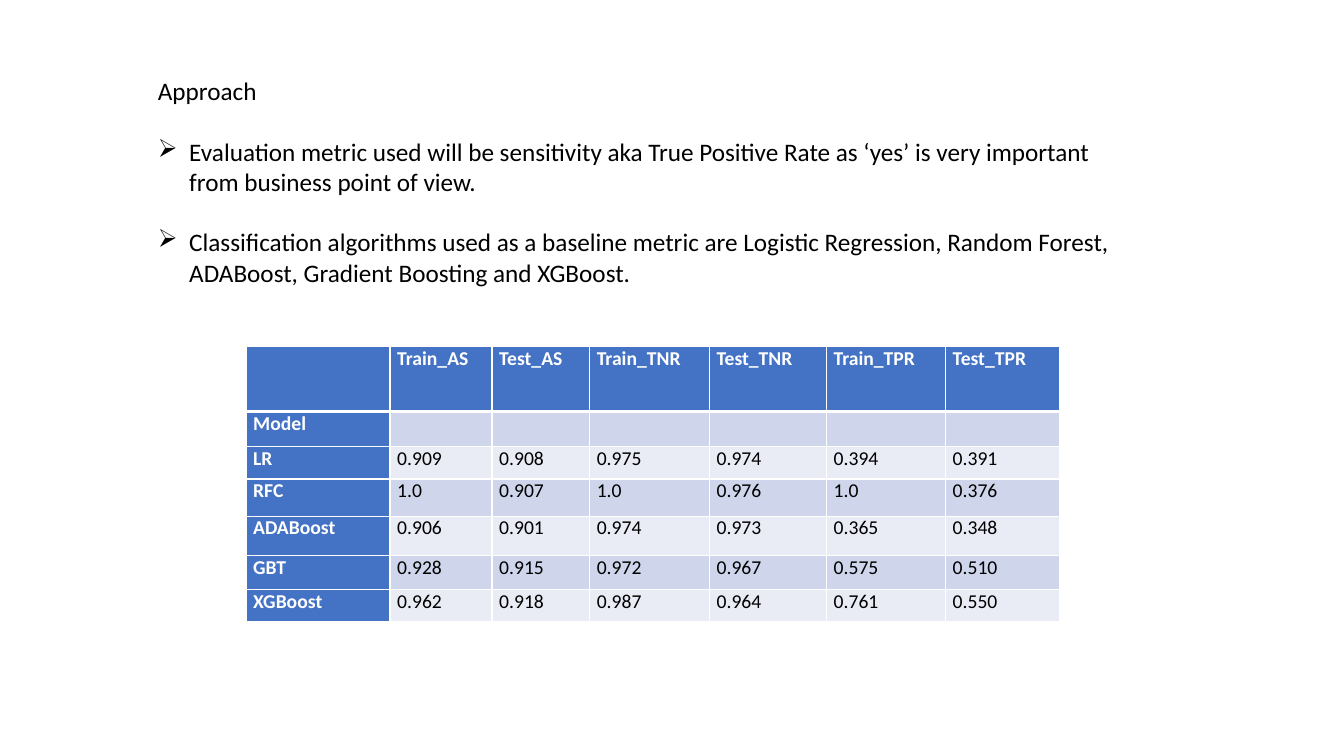
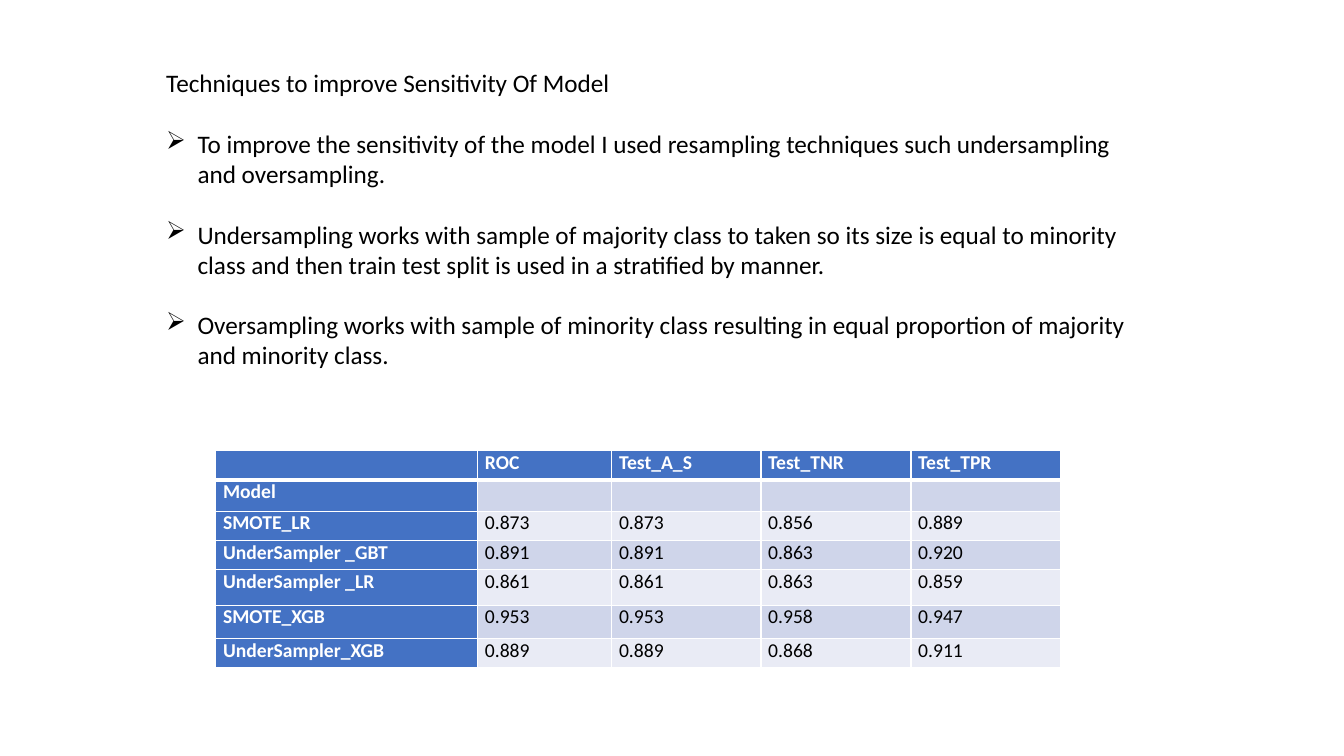
import lxml.etree
import pptx
import pptx.dml.color
import pptx.enum.text
import pptx.oxml.ns
import pptx.util

Cm = pptx.util.Cm
Pt = pptx.util.Pt
RGBColor = pptx.dml.color.RGBColor

BLACK = RGBColor(0x00, 0x00, 0x00)
WHITE = RGBColor(0xFF, 0xFF, 0xFF)
BLUE = RGBColor(0x44, 0x72, 0xC4)
BAND_DARK = RGBColor(0xCF, 0xD5, 0xEA)
BAND_LIGHT = RGBColor(0xE9, 0xEB, 0xF5)

FONT = "Calibri"
BODY_FORMAT = {"name": FONT, "size": Pt(18), "bold": False}
HEADER_FORMAT = {"name": FONT, "size": Pt(14), "bold": True}
VALUE_FORMAT = {"name": FONT, "size": Pt(14), "bold": False}
CELL_FORMAT = {
    "margin_left": Cm(0.18),
    "margin_right": Cm(0.18),
    "margin_top": 0,
    "margin_bottom": 0,
}
BULLET = "➢"
BULLET_INDENT = Cm(0.79)
PARAGRAPH_GAP = Pt(21.6)
THIN, THICK = Pt(1), Pt(3)


def set_attributes(target, values):
    for name, value in values.items():
        setattr(target, name, value)


def add_element(parent, tag, **attributes):
    element = lxml.etree.SubElement(parent, pptx.oxml.ns.qn(tag))
    for name, value in attributes.items():
        element.set(name, str(value))
    return element


class Deck:
    """Holds the presentation, its style and the slide being built."""

    def __init__(self):
        self.presentation = pptx.Presentation()
        self.presentation.slide_width = Cm(33.87)
        self.presentation.slide_height = Cm(19.05)
        self.slide = None

    def add_slide(self):
        blank_layout = self.presentation.slide_layouts[6]
        self.slide = self.presentation.slides.add_slide(blank_layout)

    def add_run(self, paragraph, text, values, color):
        run = paragraph.add_run()
        run.text = text
        set_attributes(run.font, values)
        run.font.color.rgb = color

    def add_text(self, left, top, width, height, heading, points):
        """Add a heading line followed by spaced bullet points."""
        box = self.slide.shapes.add_textbox(Cm(left), Cm(top), Cm(width), Cm(height))
        frame = box.text_frame
        frame.word_wrap = True
        self.add_run(frame.paragraphs[0], heading, BODY_FORMAT, BLACK)
        for point in points:
            paragraph = frame.add_paragraph()
            paragraph.space_before = PARAGRAPH_GAP
            properties = paragraph._p.get_or_add_pPr()
            properties.set("marL", str(BULLET_INDENT))
            properties.set("indent", str(-BULLET_INDENT))
            add_element(properties, "a:buChar", char=BULLET)
            self.add_run(paragraph, point, BODY_FORMAT, BLACK)

    def add_borders(self, cell, row):
        """Draw white borders, with a thick rule under the header row."""
        widths = {
            "a:lnL": THIN,
            "a:lnR": THIN,
            "a:lnT": THICK if row == 1 else THIN,
            "a:lnB": THICK if row == 0 else THIN,
        }
        properties = cell._tc.get_or_add_tcPr()
        for tag, width in widths.items():
            line = add_element(properties, tag, w=width)
            add_element(add_element(line, "a:solidFill"), "a:srgbClr", val=WHITE)

    def fill_cell(self, cell, text, row, column):
        is_header = row == 0 or column == 0
        set_attributes(cell, CELL_FORMAT)
        self.add_borders(cell, row)
        cell.fill.solid()
        band = BAND_DARK if row % 2 else BAND_LIGHT
        cell.fill.fore_color.rgb = BLUE if is_header else band
        cell.vertical_anchor = pptx.enum.text.MSO_ANCHOR.TOP
        paragraph = cell.text_frame.paragraphs[0]
        if text:
            values = HEADER_FORMAT if is_header else VALUE_FORMAT
            self.add_run(paragraph, text, values, WHITE if is_header else BLACK)
        else:
            add_element(paragraph._p, "a:endParaRPr", sz=1400)

    def add_score_table(self, left, top, widths, heights, measures, scores):
        """Add a table of measures, with one row of scores for each model."""
        blanks = [""] * len(measures)
        rows = [["", *measures], ["Model", *blanks]]
        rows += [[model, *values.split()] for model, values in scores.items()]
        frame = self.slide.shapes.add_table(
            len(rows), len(widths), Cm(left), Cm(top), Cm(sum(widths)), Cm(sum(heights))
        )
        table = frame.table
        for column, width in zip(table.columns, widths):
            column.width = Cm(width)
        for row, height in zip(table.rows, heights):
            row.height = Cm(height)
        for row_index, texts in enumerate(rows):
            for column_index, text in enumerate(texts):
                cell = table.cell(row_index, column_index)
                self.fill_cell(cell, text, row_index, column_index)


def add_approach(deck):
    deck.add_slide()
    deck.add_text(
        3.73, 1.78, 25.32, 10.26,
        "Approach",
        [
            "Evaluation metric used will be sensitivity aka True Positive Rate as "
            "‘yes’ is very important from business point of view.",
            "Classification algorithms used as a baseline metric are Logistic "
            "Regression, Random Forest, ADABoost, Gradient Boosting and XGBoost.",
        ],
    )
    deck.add_score_table(
        6.2, 8.74,
        [3.63, 2.57, 2.46, 3.02, 2.95, 3, 2.87],
        [1.63, 0.89, 0.81, 0.94, 0.99, 0.86, 0.81],
        ["Train_AS", "Test_AS", "Train_TNR", "Test_TNR", "Train_TPR", "Test_TPR"],
        {
            "LR": "0.909 0.908 0.975 0.974 0.394 0.391",
            "RFC": "1.0 0.907 1.0 0.976 1.0 0.376",
            "ADABoost": "0.906 0.901 0.974 0.973 0.365 0.348",
            "GBT": "0.928 0.915 0.972 0.967 0.575 0.510",
            "XGBoost": "0.962 0.918 0.987 0.964 0.761 0.550",
        },
    )


def add_techniques(deck):
    deck.add_slide()
    deck.add_text(
        3.94, 1.58, 25.4, 11.02,
        "Techniques to improve Sensitivity Of Model",
        [
            "To improve the sensitivity of the model I used resampling techniques "
            "such undersampling and oversampling.",
            "Undersampling works with sample of majority class to taken so its size "
            "is equal to minority class and then train test split is used in a "
            "stratified by manner.",
            "Oversampling works with sample of minority class resulting in equal "
            "proportion of majority and minority class.",
        ],
    )
    deck.add_score_table(
        5.44, 11.35,
        [6.6, 3.38, 3.76, 3.78, 3.76],
        [0.74, 0.79, 0.74, 0.74, 0.89, 0.84, 0.74],
        ["ROC", "Test_A_S", "Test_TNR", "Test_TPR"],
        {
            "SMOTE_LR": "0.873 0.873 0.856 0.889",
            "UnderSampler _GBT": "0.891 0.891 0.863 0.920",
            "UnderSampler _LR": "0.861 0.861 0.863 0.859",
            "SMOTE_XGB": "0.953 0.953 0.958 0.947",
            "UnderSampler_XGB": "0.889 0.889 0.868 0.911",
        },
    )


def main():
    deck = Deck()
    add_approach(deck)
    add_techniques(deck)
    deck.presentation.save("out.pptx")


if __name__ == "__main__":
    main()
